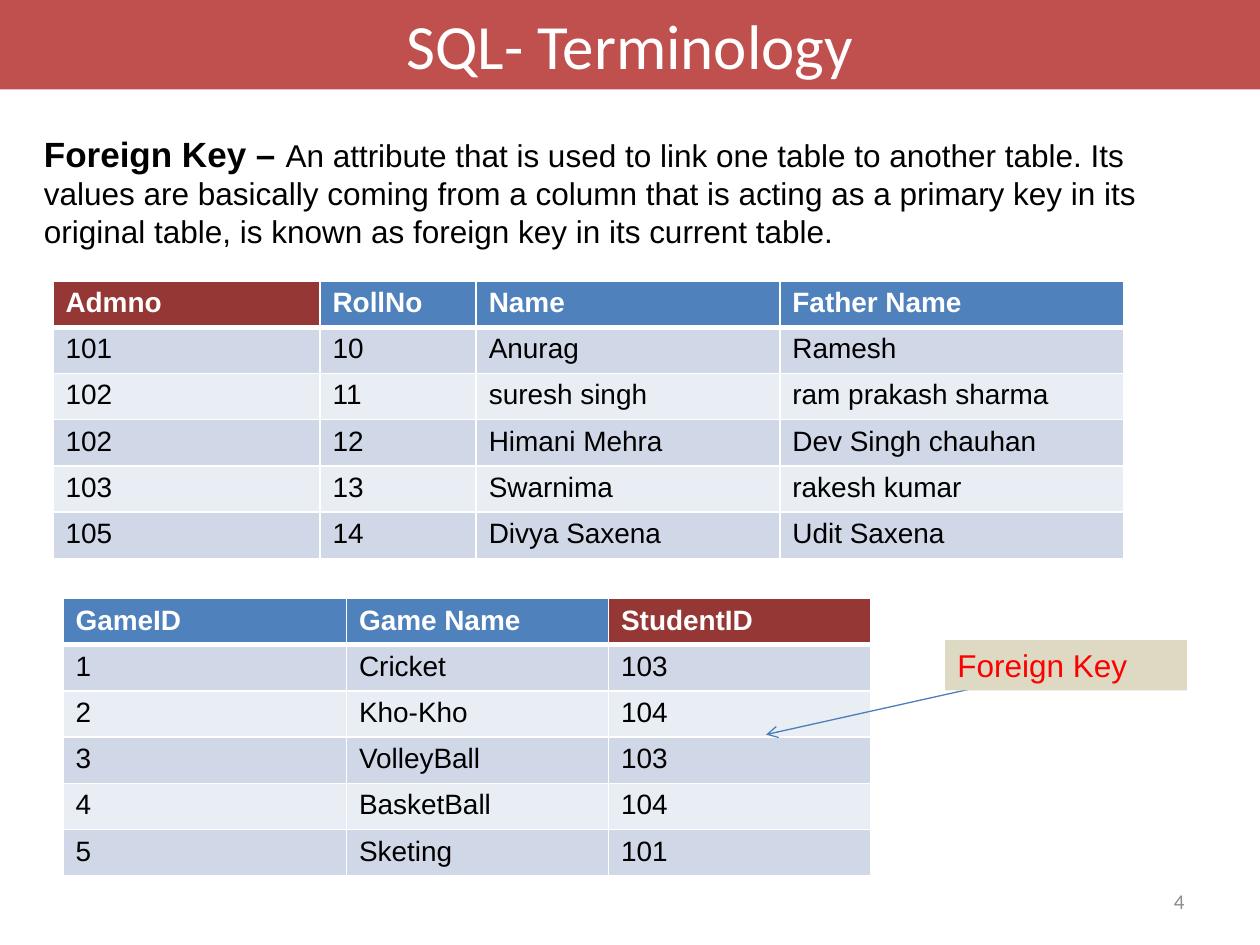
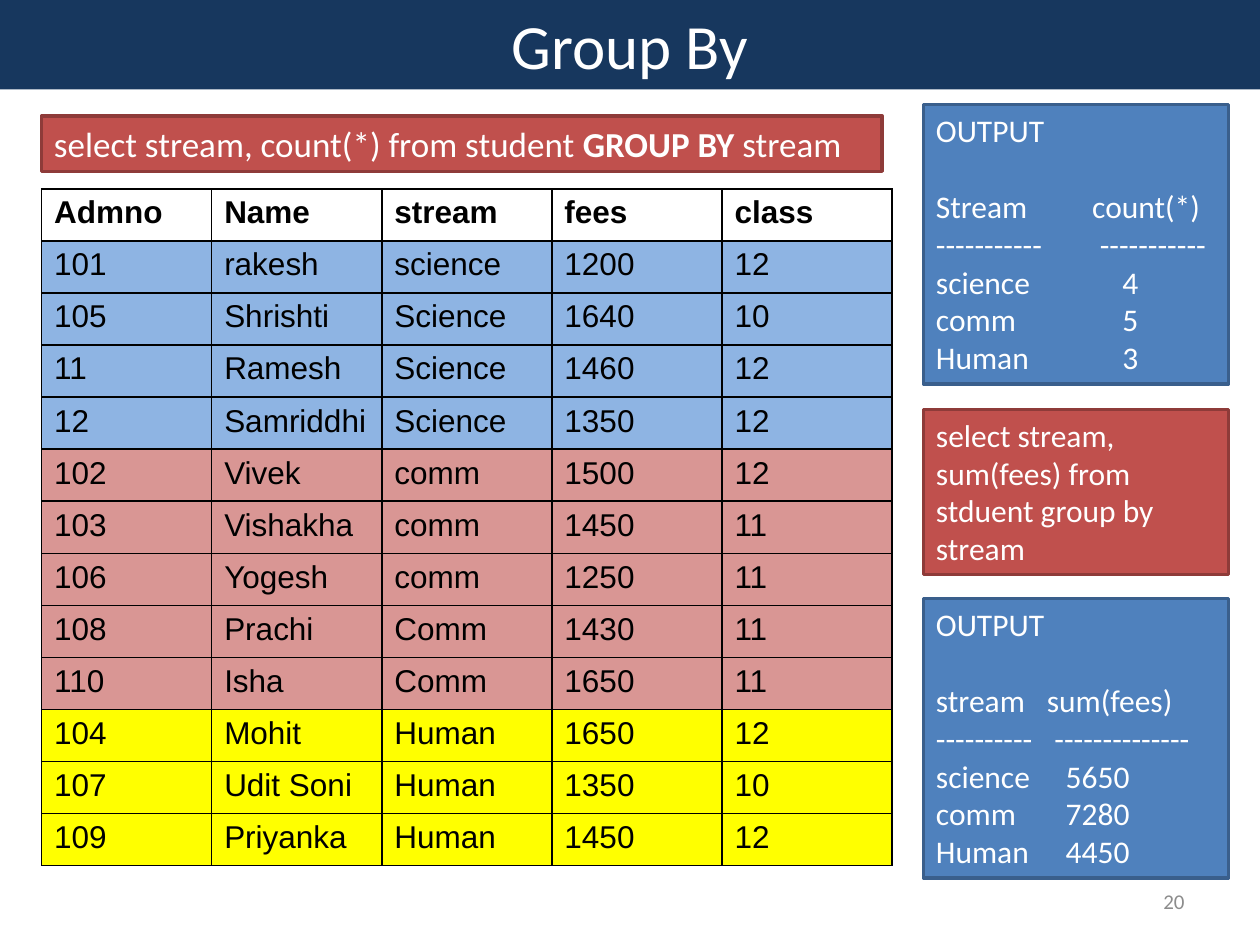
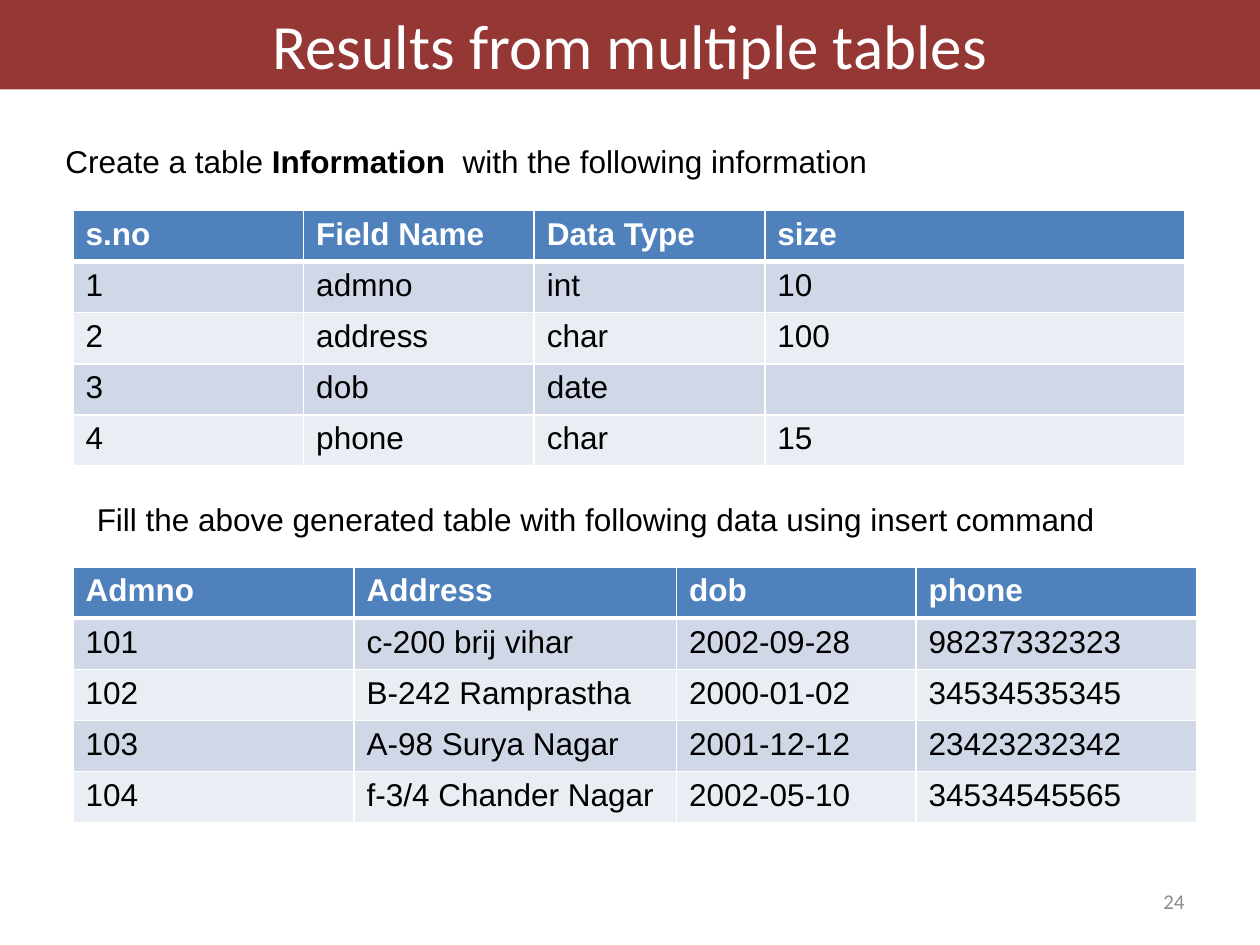
import dataclasses

import pptx
import pptx.dml.color
import pptx.enum.shapes
import pptx.enum.text
import pptx.oxml.ns
import pptx.util
from lxml import etree

Inches = pptx.util.Inches
Align = pptx.enum.text.PP_ALIGN
Anchor = pptx.enum.text.MSO_ANCHOR
qn = pptx.oxml.ns.qn


@dataclasses.dataclass(frozen=True)
class Theme:
    """Colours, fonts and type sizes shared by the slides."""
    white: str = "FFFFFF"
    black: str = "000000"
    gray: str = "8C8C8C"
    blue: str = "4F81BD"
    blue_edge: str = "3A5F8C"
    arrow: str = "4B7EBC"
    navy: str = "17375E"
    red: str = "C0504D"
    red_edge: str = "8E3B39"
    dark_red: str = "953735"
    bright_red: str = "FF0000"
    tan: str = "DDD9C3"
    bands: tuple = ("D0D8E8", "E9EDF4")
    light_blue: str = "8EB4E3"
    light_red: str = "D99694"
    yellow: str = "FFFF00"
    heading_font: str = "Calibri"
    body_font: str = "Arial"
    title_size: int = 36
    lead_size: int = 20
    body_size: int = 18
    small_size: int = 16
    number_size: int = 12


THEME = Theme()


def rgb(color):
    """Turn a hex string into a colour object."""
    return pptx.dml.color.RGBColor.from_string(color)


def write_text(paragraph, text, *, size=THEME.body_size, font=THEME.body_font,
               color=THEME.black, bold=False, align=None):
    """Add one formatted run to a paragraph."""
    run = paragraph.add_run()
    run.text = text
    run.font.size = pptx.util.Pt(size)
    run.font.name = font
    run.font.bold = bold
    run.font.color.rgb = rgb(color)
    if align is not None:
        paragraph.alignment = align


def set_tab_stop(paragraph, position):
    """Give a paragraph one left tab stop, in inches."""
    properties = paragraph._p.get_or_add_pPr()
    tab_list = etree.SubElement(properties, qn("a:tabLst"))
    etree.SubElement(tab_list, qn("a:tab"), pos=str(Inches(position)), algn="l")


def set_borders(cell, color, widths):
    """Draw cell borders; widths maps the sides L, R, T, B to points."""
    properties = cell._tc.get_or_add_tcPr()
    for side, width in widths.items():
        line = etree.SubElement(properties, qn(f"a:ln{side}"),
                                w=str(pptx.util.Pt(width)))
        fill = etree.SubElement(line, qn("a:solidFill"))
        etree.SubElement(fill, qn("a:srgbClr"), val=color)


class Deck:
    """Holds the presentation, its theme and the current slide."""

    def __init__(self, theme):
        """Start an empty presentation."""
        self.theme = theme
        self.presentation = pptx.Presentation()
        self.presentation.slide_width = Inches(10)
        self.presentation.slide_height = Inches(7.5)
        self.slide = None

    def start_slide(self, title, band_color, number):
        """Add a slide with its title band and page number."""
        layout = self.presentation.slide_layouts.get_by_name("Title Only")
        self.slide = self.presentation.slides.add_slide(layout)
        band = self.slide.shapes.title
        band.left, band.top = Inches(0), Inches(0)
        band.width, band.height = Inches(10), Inches(0.71)
        band.fill.solid()
        band.fill.fore_color.rgb = rgb(band_color)
        frame = band.text_frame
        frame.auto_size = pptx.enum.text.MSO_AUTO_SIZE.NONE
        frame.vertical_anchor = Anchor.TOP
        write_text(frame.paragraphs[0], title, size=self.theme.title_size,
                   font=self.theme.heading_font, color=self.theme.white,
                   align=Align.CENTER)
        frame = self.add_text((7.17, 6.95, 2.33, 0.4), [(str(number), dict(
            size=self.theme.number_size, font=self.theme.heading_font,
            color=self.theme.gray, align=Align.RIGHT))])
        frame.vertical_anchor = Anchor.MIDDLE

    def add_text(self, box, runs):
        """Add a wrapped text box holding one paragraph of (text, format) runs."""
        shape = self.slide.shapes.add_textbox(*map(Inches, box))
        frame = shape.text_frame
        frame.word_wrap = True
        for text, style in runs:
            write_text(frame.paragraphs[0], text, **style)
        return frame

    def add_box(self, box, fill, edge=None, runs=()):
        """Add a filled rectangle with left-aligned text."""
        shape = self.slide.shapes.add_shape(
            pptx.enum.shapes.MSO_SHAPE.RECTANGLE, *map(Inches, box))
        shape.shadow.inherit = False
        shape.fill.solid()
        shape.fill.fore_color.rgb = rgb(fill)
        if edge:
            shape.line.color.rgb = rgb(edge)
            shape.line.width = pptx.util.Pt(2)
        else:
            shape.line.fill.background()
        frame = shape.text_frame
        frame.word_wrap = True
        frame.vertical_anchor = Anchor.TOP
        frame.paragraphs[0].alignment = Align.LEFT
        for text, style in runs:
            write_text(frame.paragraphs[0], text, **style)
        return frame

    def add_query(self, box, runs, size):
        """Add a red box with an SQL query made of (text, bold) runs."""
        style = dict(size=size, font=self.theme.heading_font,
                     color=self.theme.white)
        self.add_box(box, self.theme.red, self.theme.red_edge,
                     [(text, dict(style, bold=bold)) for text, bold in runs])

    def add_output(self, top, rows, heading_stop, rule_stop, value_stop):
        """Add a blue box that lists a query result in two columns."""
        style = dict(font=self.theme.heading_font, color=self.theme.white)
        frame = self.add_box((7.33, top, 2.42, 2.22), self.theme.blue,
                             self.theme.blue_edge, [("OUTPUT", style)])
        stops = [heading_stop, rule_stop] + [value_stop] * (len(rows) - 2)
        for index, (row, stop) in enumerate(zip(rows, stops)):
            paragraph = frame.add_paragraph()
            paragraph.alignment = Align.LEFT
            if index == 0:
                paragraph.space_before = pptx.util.Pt(22)
            set_tab_stop(paragraph, stop)
            write_text(paragraph, "\t".join(row), **style)

    def add_table(self, left, top, widths, height, rows, *, header_fill,
                  header_color, row_fill, border, header_rule=1,
                  size=THEME.body_size, key_column=None):
        """Add a table; row_fill(index, row) gives each body row's colour."""
        table = self.slide.shapes.add_table(
            len(rows), len(widths), Inches(left), Inches(top),
            Inches(sum(widths)), Inches(height)).table
        table.horz_banding = False
        for column, width in zip(table.columns, widths):
            column.width = Inches(width)
        for row_index, row in enumerate(rows):
            table.rows[row_index].height = Inches(height / len(rows))
            header = row_index == 0
            fill = header_fill if header else row_fill(row_index - 1, row)
            borders = dict(L=1, R=1, T=header_rule if row_index == 1 else 1,
                           B=header_rule if header else 1)
            for column_index, text in enumerate(row):
                cell = table.cell(row_index, column_index)
                set_borders(cell, border, borders)
                is_key = header and column_index == key_column
                cell.fill.solid()
                cell.fill.fore_color.rgb = rgb(
                    self.theme.dark_red if is_key else fill)
                write_text(cell.text_frame.paragraphs[0], text, size=size,
                           color=header_color if header else self.theme.black,
                           bold=header)

    def add_banded_table(self, left, top, widths, height, rows, **options):
        """Add a table with a blue header and alternating row colours."""
        self.add_table(left, top, widths, height, rows,
                       header_fill=self.theme.blue,
                       header_color=self.theme.white,
                       row_fill=lambda index, row: self.theme.bands[index % 2],
                       border=self.theme.white, header_rule=3, **options)

    def add_arrow(self, start, end):
        """Add a thin arrow between two points."""
        arrow = self.slide.shapes.add_connector(
            pptx.enum.shapes.MSO_CONNECTOR.STRAIGHT,
            *map(Inches, start + end))
        arrow.line.color.rgb = rgb(self.theme.arrow)
        arrow.line.width = pptx.util.Pt(0.75)
        etree.SubElement(arrow.line._get_or_add_ln(), qn("a:tailEnd"),
                         type="arrow")
        etree.SubElement(arrow._element.spPr, qn("a:effectLst"))


def build_terminology(deck):
    """Foreign key definition with two linked tables."""
    theme = deck.theme
    deck.start_slide("SQL- Terminology", theme.red, 4)
    deck.add_text((0.25, 1, 9.25, 1.04), [
        ("Foreign Key – ", dict(size=theme.lead_size, bold=True)),
        ("An attribute that is used to link one table to another table. Its "
         "values are basically coming from a column that is acting as a "
         "primary key in its original table, is known as foreign key in its "
         "current table.", {})])
    students = [
        ("Admno", "RollNo", "Name", "Father Name"),
        ("101", "10", "Anurag", "Ramesh"),
        ("102", "11", "suresh singh", "ram prakash sharma"),
        ("102", "12", "Himani Mehra", "Dev Singh chauhan"),
        ("103", "13", "Swarnima", "rakesh kumar"),
        ("105", "14", "Divya Saxena", "Udit Saxena")]
    games = [
        ("GameID", "Game Name", "StudentID"),
        ("1", "Cricket", "103"),
        ("2", "Kho-Kho", "104"),
        ("3", "VolleyBall", "103"),
        ("4", "BasketBall", "104"),
        ("5", "Sketing", "101")]
    deck.add_banded_table(0.42, 2.23, (2.12, 1.24, 2.41, 2.73), 2.2, students,
                          size=theme.small_size, key_column=0)
    deck.add_banded_table(0.5, 4.75, (2.25, 2.08, 2.08), 2.2, games,
                          size=theme.small_size, key_column=2)
    deck.add_arrow((7.92, 5.42), (6.08, 5.83))
    deck.add_box((7.5, 5.08, 1.92, 0.4), theme.tan,
                 runs=[("Foreign Key", dict(color=theme.bright_red))])


def build_group_by(deck):
    """GROUP BY queries, their data and their results."""
    theme = deck.theme
    deck.start_slide("Group By", theme.navy, 20)
    students = [
        ("Admno", "Name", "stream", "fees", "class"),
        ("101", "rakesh", "science", "1200", "12"),
        ("105", "Shrishti", "Science", "1640", "10"),
        ("11", "Ramesh", "Science", "1460", "12"),
        ("12", "Samriddhi", "Science", "1350", "12"),
        ("102", "Vivek", "comm", "1500", "12"),
        ("103", "Vishakha", "comm", "1450", "11"),
        ("106", "Yogesh", "comm", "1250", "11"),
        ("108", "Prachi", "Comm", "1430", "11"),
        ("110", "Isha", "Comm", "1650", "11"),
        ("104", "Mohit", "Human", "1650", "12"),
        ("107", "Udit Soni", "Human", "1350", "10"),
        ("109", "Priyanka", "Human", "1450", "12")]
    stream_fills = {"science": theme.light_blue, "comm": theme.light_red,
                    "human": theme.yellow}
    deck.add_table(0.33, 1.5, (1.35,) * 5, 5.37, students,
                   header_fill=theme.white, header_color=theme.black,
                   row_fill=lambda index, row: stream_fills[row[2].lower()],
                   border=theme.black)
    deck.add_output(0.83, [
        ("Stream", "count(*)"), ("-" * 11, "-" * 11),
        ("science", "4"), ("comm", "5"), ("Human", "3")], 1.24, 1.3, 1.48)
    deck.add_query((0.33, 0.92, 6.67, 0.44), [
        ("select stream, count(*) from student ", False),
        ("GROUP BY", True), (" stream", False)], theme.lead_size)
    deck.add_query((7.33, 3.25, 2.42, 1.31), [
        ("select stream, sum(fees) from stduent group by stream", False)],
        theme.body_size)
    deck.add_output(4.75, [
        ("stream", "sum(fees)"), ("-" * 10, "-" * 14),
        ("science", "5650"), ("comm", "7280"), ("Human", "4450")],
        0.88, 0.94, 1.03)


def build_multiple_tables(deck):
    """Exercise: create a table and fill it."""
    deck.start_slide("Results from multiple tables", deck.theme.dark_red, 24)
    deck.add_text((0.42, 1.08, 9.25, 0.4), [
        ("Create a table ", {}), ("Information ", dict(bold=True)),
        (" with the following information", {})])
    fields = [
        ("s.no", "Field Name", "Data Type", "size"),
        ("1", "admno", "int", "10"),
        ("2", "address", "char", "100"),
        ("3", "dob", "date", ""),
        ("4", "phone", "char", "15")]
    records = [
        ("Admno", "Address", "dob", "phone"),
        ("101", "c-200 brij vihar", "2002-09-28", "98237332323"),
        ("102", "B-242 Ramprastha", "2000-01-02", "34534535345"),
        ("103", "A-98 Surya Nagar", "2001-12-12", "23423232342"),
        ("104", "f-3/4 Chander Nagar", "2002-05-10", "34534545565")]
    deck.add_banded_table(0.58, 1.67, (1.83, 1.83, 1.83, 3.33), 2.03, fields)
    deck.add_text((0.67, 3.92, 8.83, 0.4), [
        ("Fill the above generated table with following data using insert "
         "command", {})])
    deck.add_banded_table(0.58, 4.5, (2.23, 2.56, 1.9, 2.23), 2.03, records)


def main():
    """Build and save the slides."""
    deck = Deck(THEME)
    build_terminology(deck)
    build_group_by(deck)
    build_multiple_tables(deck)
    deck.presentation.save("out.pptx")


main()
